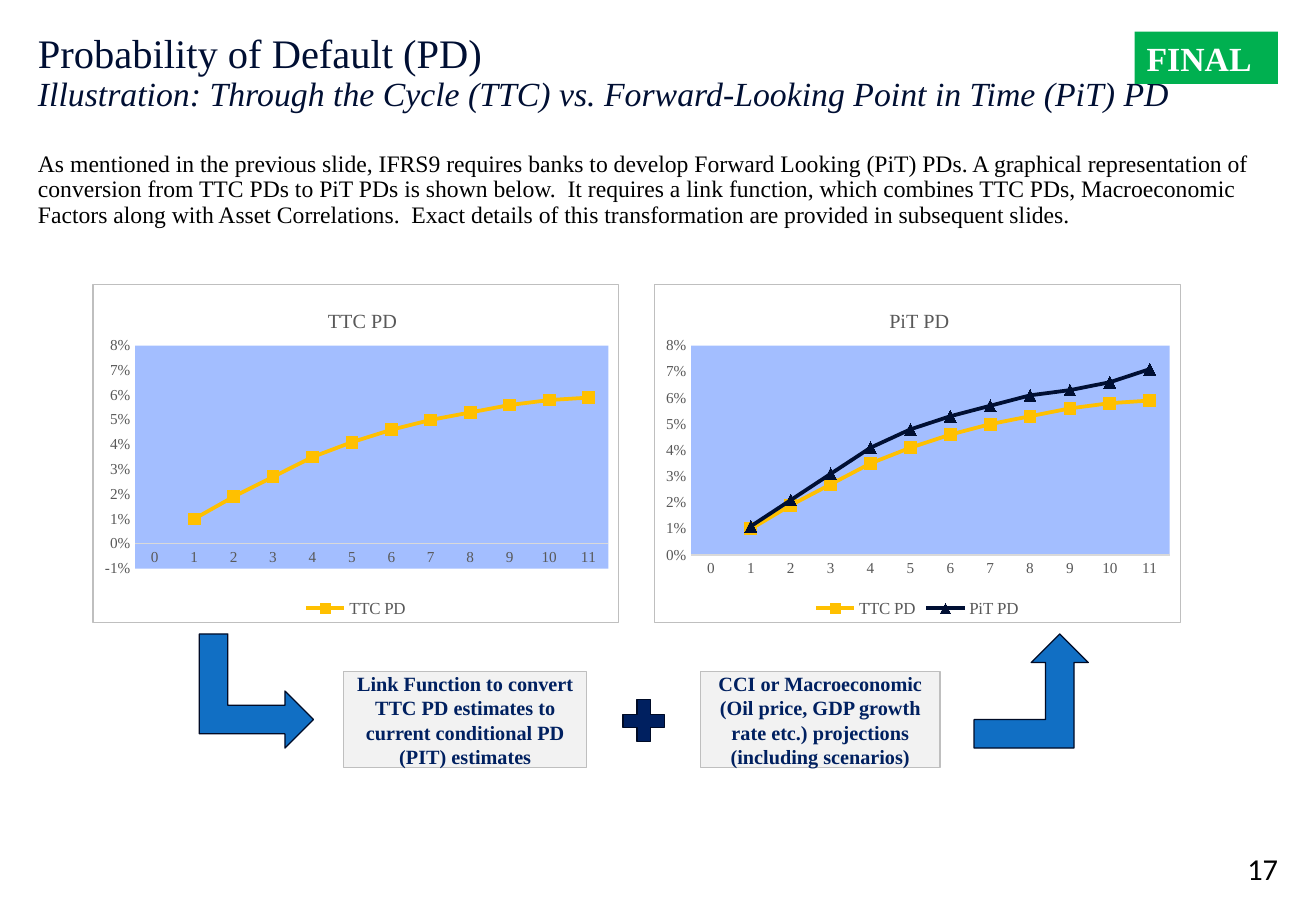
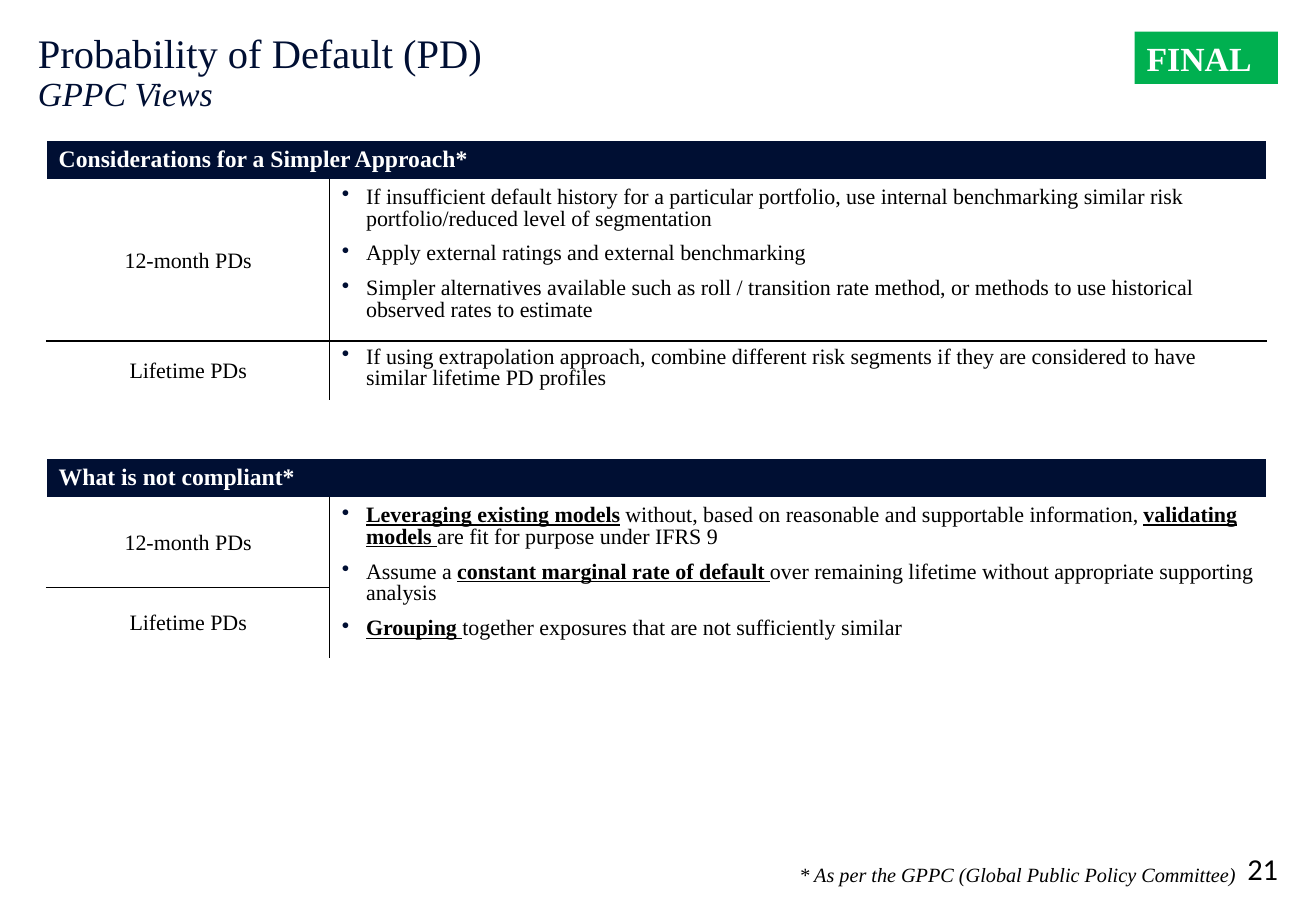
"""Builds two slides on probability of default: a chart illustration and the GPPC views."""
from lxml import etree
from pptx import Presentation
from pptx.chart.data import CategoryChartData
from pptx.dml.color import RGBColor
from pptx.enum.chart import XL_CHART_TYPE, XL_LEGEND_POSITION, XL_MARKER_STYLE, XL_TICK_MARK
from pptx.enum.shapes import MSO_SHAPE
from pptx.enum.text import MSO_ANCHOR, PP_ALIGN
from pptx.oxml import parse_xml
from pptx.oxml.ns import nsdecls, qn
from pptx.util import Pt

LEFT, CENTER, RIGHT = PP_ALIGN.LEFT, PP_ALIGN.CENTER, PP_ALIGN.RIGHT
TOP, MIDDLE, BOTTOM = MSO_ANCHOR.TOP, MSO_ANCHOR.MIDDLE, MSO_ANCHOR.BOTTOM
RECT, BENT_ARROW, PLUS = MSO_SHAPE.RECTANGLE, MSO_SHAPE.BENT_UP_ARROW, MSO_SHAPE.MATH_PLUS
LINE_MARKERS, LEGEND_BOTTOM = XL_CHART_TYPE.LINE_MARKERS, XL_LEGEND_POSITION.BOTTOM
SQUARE, TRIANGLE, NO_TICK = XL_MARKER_STYLE.SQUARE, XL_MARKER_STYLE.TRIANGLE, XL_TICK_MARK.NONE
SERIF = "Times New Roman"
NAVY, INK, BLUE, EDGE = "000F33", "002060", "116FC4", "000B26"
GOLD, GREEN, SKY = "FFC000", "00B050", "A3BEFF"
BLACK, WHITE, GRAY, PALE, SILVER = "000000", "FFFFFF", "595959", "F2F2F2", "BFBFBF"
rgb = RGBColor.from_string


def write(p, text, size, color=BLACK, bold=False, italic=False, align=LEFT, name=SERIF):
    """Add text to a paragraph; parts between bars are bold and underlined."""
    p.alignment = align
    for i, part in enumerate(text.split("|")):
        if part:
            r = p.add_run()
            r.text = part
            r.font.name, r.font.size = name, Pt(size)
            r.font.color.rgb = rgb(color)
            r.font.bold, r.font.italic = bold or i % 2 == 1, italic
            r.font.underline = i % 2 == 1


def add_box(s, at, kind=None, fill=None, line=None, anchor=TOP, margin=0):
    """Add a text box, or a preset shape when a kind is given."""
    at = [Pt(v) for v in at]
    if kind is None:
        sp = s.shapes.add_textbox(*at)
    else:
        sp = s.shapes.add_shape(kind, *at)
        sp.shadow.inherit = False
        sp.fill.solid()
        sp.fill.fore_color.rgb = rgb(fill)
        if line:
            sp.line.color.rgb = rgb(line)
            sp.line.width = Pt(0.75)
        else:
            sp.line.fill.background()
    tf = sp.text_frame
    tf.word_wrap = True
    tf.vertical_anchor = anchor
    tf.margin_left = tf.margin_right = Pt(margin)
    tf.margin_top = tf.margin_bottom = Pt(margin / 2)
    return sp


prs = Presentation()
prs.slide_width, prs.slide_height = Pt(780), Pt(540)
slides = []
for subtitle, number in (
    ("Illustration: Through the Cycle (TTC) vs. Forward-Looking Point in Time (PiT) PD", "17"),
    ("GPPC Views", "21"),
):
    s = prs.slides.add_slide(prs.slide_layouts[6])
    slides.append(s)
    p = add_box(s, (22.5, 20, 734, 73)).text_frame.paragraphs[0]
    p.line_spacing = 0.9
    write(p, "Probability of Default (PD)", 24, NAVY)
    p.add_line_break()
    write(p, subtitle, 20, NAVY, italic=True)
    sp = add_box(s, (723, 503.3, 34.5, 22.3), anchor=BOTTOM)
    write(sp.text_frame.paragraphs[0], number, 18, align=RIGHT, name="Calibri")
    sp = add_box(s, (672.5, 18.7, 85, 31), RECT, GREEN, anchor=MIDDLE, margin=7.2)
    write(sp.text_frame.paragraphs[0], "FINAL", 20, WHITE, bold=True)

s = slides[0]
p = add_box(s, (22.5, 90, 734, 46)).text_frame.paragraphs[0]
p.line_spacing = 0.9
write(p, "As mentioned in the previous slide, IFRS9 requires banks to develop Forward Looking (PiT) PDs. "
         "A graphical representation of conversion from TTC PDs to PiT PDs is shown below.  It requires a "
         "link function, which combines TTC PDs, Macroeconomic Factors along with Asset Correlations.  "
         "Exact details of this transformation are provided in subsequent slides.", 14)

ttc = ("TTC PD", GOLD, SQUARE,
       (None, 0.01, 0.019, 0.027, 0.035, 0.041, 0.046, 0.05, 0.053, 0.056, 0.058, 0.059))
pit = ("PiT PD", NAVY, TRIANGLE,
       (None, 0.011, 0.021, 0.031, 0.041, 0.048, 0.053, 0.057, 0.061, 0.063, 0.066, 0.071))
for x, title, lines, minimum, plot_at in (
    (54.7, "TTC PD", (ttc,), -0.01, (0.08, 0.18, 0.9, 0.66)),
    (387.4, "PiT PD", (ttc, pit), 0, (0.07, 0.18, 0.91, 0.62)),
):
    data = CategoryChartData(number_format="0%")
    data.categories = [str(n) for n in range(12)]
    for name, color, marker, values in lines:
        data.add_series(name, values)
    chart = s.shapes.add_chart(LINE_MARKERS, Pt(x), Pt(168.5), Pt(312.5), Pt(201), data).chart
    chart.font.name, chart.font.size = SERIF, Pt(9)
    chart.font.color.rgb = rgb(GRAY)
    chart.has_title = True
    write(chart.chart_title.text_frame.paragraphs[0], title, 12, GRAY, align=CENTER)
    chart.has_legend = True
    legend = chart.legend
    legend.position, legend.include_in_layout = LEGEND_BOTTOM, False
    legend.font.name, legend.font.size = SERIF, Pt(10)
    legend.font.color.rgb = rgb(GRAY)
    cat, val = chart.category_axis, chart.value_axis
    for axis in (cat, val):
        axis.major_tick_mark = axis.minor_tick_mark = NO_TICK
        axis.has_major_gridlines = False
    cat.format.line.color.rgb = rgb("D9D9D9")
    cat.format.line.width = Pt(0.75)
    val.format.line.fill.background()
    val.minimum_scale, val.maximum_scale, val.major_unit = minimum, 0.08, 0.01
    val.tick_labels.number_format = "0%"
    val.tick_labels.number_format_is_linked = False
    chart.plots[0].vary_by_categories = False
    for ser, (name, color, marker, values) in zip(chart.plots[0].series, lines):
        ser.smooth = False
        ser.format.line.color.rgb = rgb(color)
        ser.format.line.width = Pt(2.25)
        ser.marker.style, ser.marker.size = marker, 7
        ser.marker.format.fill.solid()
        ser.marker.format.fill.fore_color.rgb = rgb(color)
        ser.marker.format.line.color.rgb = rgb(color)

    root = chart.element.find(qn("c:chart"))
    plot_area = root.find(qn("c:plotArea"))
    for parent, index, target, place in (
        (plot_area, 0, "inner", zip("xywh", plot_at)),
        (root.find(qn("c:title")), 1, None, zip("xy", (0.44, 0.06))),
    ):
        for old in parent.findall(qn("c:layout")):
            parent.remove(old)
        layout = parse_xml(f"<c:layout {nsdecls('c')}><c:manualLayout/></c:layout>")
        manual = layout[0]
        if target:
            etree.SubElement(manual, qn("c:layoutTarget")).set("val", target)
        for key in "xy":
            etree.SubElement(manual, qn(f"c:{key}Mode")).set("val", "edge")
        for key, value in place:
            etree.SubElement(manual, qn(f"c:{key}")).set("val", str(value))
        parent.insert(index, layout)
    fill_xml = "<c:spPr {}><a:solidFill><a:srgbClr val='{}'/></a:solidFill>{}</c:spPr>"
    border = f"<a:ln w='9525'><a:solidFill><a:srgbClr val='{SILVER}'/></a:solidFill></a:ln>"
    plot_area.append(parse_xml(fill_xml.format(nsdecls("c", "a"), SKY, "")))
    root.addnext(parse_xml(fill_xml.format(nsdecls("c", "a"), WHITE, border)))

for x, rotation in ((118.1, 90), (577.4, 0)):
    add_box(s, (x, 375.8, 67.7, 67.7), BENT_ARROW, BLUE, EDGE).rotation = rotation
add_box(s, (365, 410.4, 33.1, 33.8), PLUS, INK, EDGE)
for x, w, text in (
    (203.8, 144, "Link Function to convert TTC PD estimates to current conditional PD (PIT) estimates"),
    (415.4, 141.8, "CCI or Macroeconomic (Oil price, GDP growth rate etc.) projections (including scenarios)"),
):
    sp = add_box(s, (x, 398.2, w, 56.9), RECT, PALE, SILVER, MIDDLE, 7.2)
    write(sp.text_frame.paragraphs[0], text, 12, INK, bold=True, align=CENTER)

s = slides[1]
sp = add_box(s, (318.2, 507.6, 424.8, 22.3), margin=7.2)
write(sp.text_frame.paragraphs[0], "* As per the GPPC (Global Public Policy Committee) ", 12,
      italic=True, align=RIGHT)

simpler = (
    ("If insufficient default history for a particular portfolio, use internal benchmarking similar risk "
     "portfolio/reduced level of segmentation",
     "Apply external ratings and external benchmarking",
     "Simpler alternatives available such as roll / transition rate method, or methods to use historical "
     "observed rates to estimate"),
    ("If using extrapolation approach, combine different risk segments if they are considered to have "
     "similar lifetime PD profiles",),
)
not_compliant = (
    ("|Leveraging existing models| without, based on reasonable and supportable information, "
     "|validating models |are fit for purpose under IFRS 9",
     "Assume a |constant marginal rate of default |over remaining lifetime without appropriate "
     "supporting analysis",
     "|Grouping |together exposures that are not sufficiently similar"),
)
for y, heading, heights, views in (
    (83.2, "Considerations for a Simpler Approach*", (22.3, 94.8, 35), simpler),
    (271.8, "What is not compliant*", (22.3, 52.5, 42), not_compliant),
):
    table = s.shapes.add_table(3, 2, Pt(27.6), Pt(y), Pt(723), Pt(sum(heights))).table
    table.first_row = table.horz_banding = False
    for column, w in zip(table.columns, (167.8, 555.2)):
        column.width = Pt(w)
    for row, h in zip(table.rows, heights):
        row.height = Pt(h)
    table.cell(0, 0).merge(table.cell(0, 1))
    shared = len(views) == 1
    if shared:
        table.cell(1, 1).merge(table.cell(2, 1))
    write(table.cell(0, 0).text_frame.paragraphs[0], heading, 14, WHITE, bold=True)
    for i, label in enumerate(("12-month PDs", "Lifetime PDs"), 1):
        cell = table.cell(i, 0)
        cell.vertical_anchor = MIDDLE
        write(cell.text_frame.paragraphs[0], label, 13, align=CENTER)
    for i, bullets in enumerate(views, 1):
        tf = table.cell(i, 1).text_frame
        for n, text in enumerate(bullets):
            p = tf.add_paragraph() if n else tf.paragraphs[0]
            p.line_spacing = 0.9
            if n:
                p.space_before = Pt(7.8)
            pPr = p._p.get_or_add_pPr()
            pPr.set("marL", str(Pt(14.4)))
            pPr.set("indent", str(-Pt(14.4)))
            color = etree.SubElement(pPr, qn("a:buClr"))
            etree.SubElement(color, qn("a:srgbClr")).set("val", NAVY)
            etree.SubElement(pPr, qn("a:buChar")).set("char", "•")
            write(p, text, 13)
    for i in range(3):
        for j in range(2):
            cell = table.cell(i, j)
            cell.margin_left = cell.margin_right = Pt(7.2)
            cell.margin_top = cell.margin_bottom = Pt(3.6)
            cell.fill.solid()
            cell.fill.fore_color.rgb = rgb(WHITE if i else NAVY)
            dark = ("", "RB"[j] + "B", "RT"[j] + "T")[i] if j == 0 else ("", "LB", "LT")[i]
            if shared and j:
                dark = dark[:1]
            for k, side in enumerate("LRTB"):
                width = 3 if i == 0 and side == "B" else 1
                cell._tc.get_or_add_tcPr().insert(k, parse_xml(
                    f"<a:ln{side} {nsdecls('a')} w='{Pt(width)}'><a:solidFill>"
                    f"<a:srgbClr val='{BLACK if side in dark else WHITE}'/></a:solidFill></a:ln{side}>"))

prs.save("out.pptx")
